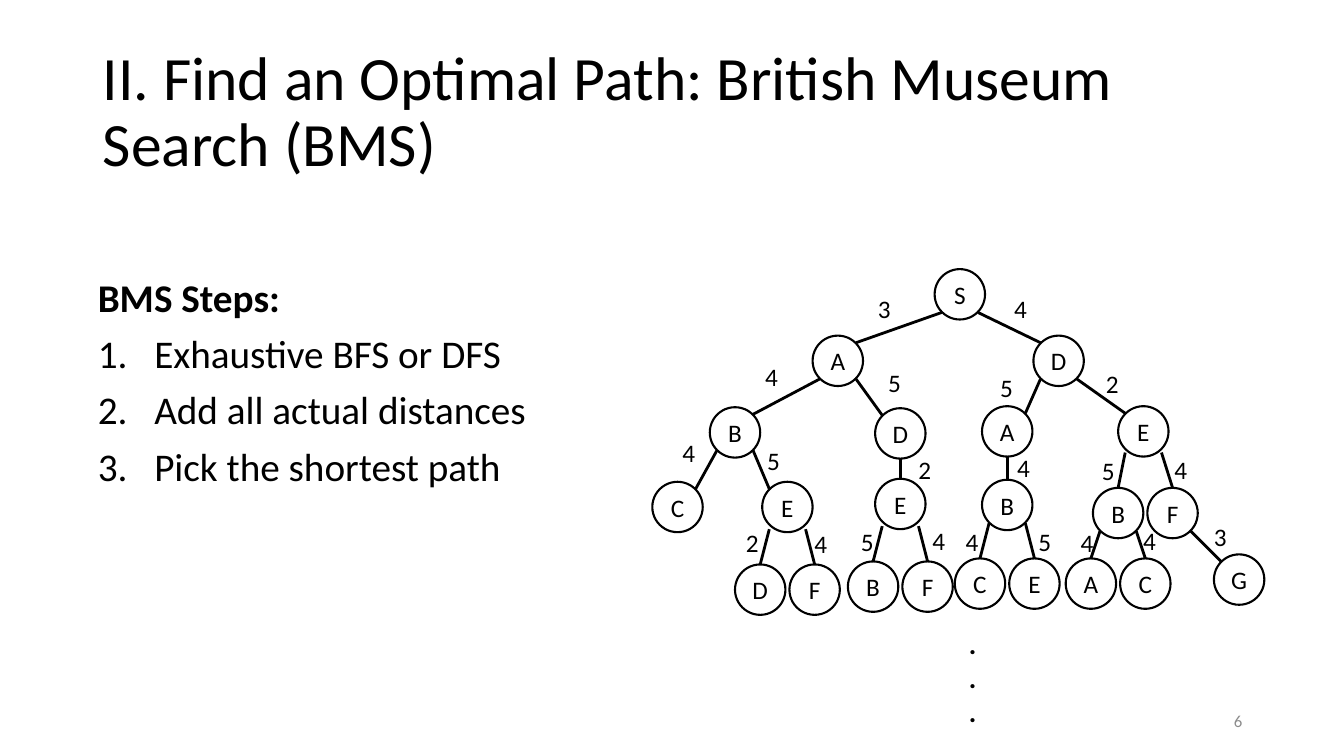
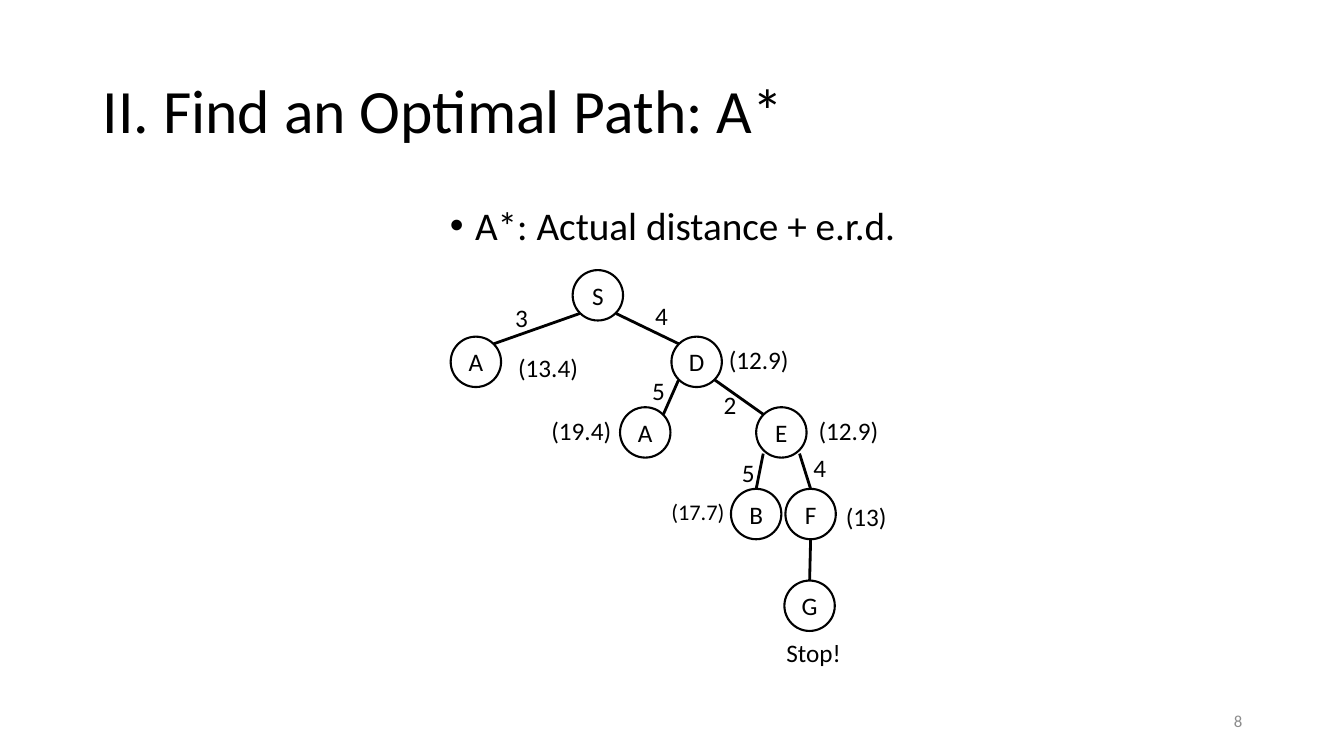
from lxml import etree
from pptx import Presentation
from pptx.dml.color import RGBColor
from pptx.enum.shapes import MSO_CONNECTOR, MSO_SHAPE
from pptx.enum.text import MSO_ANCHOR, MSO_AUTO_SIZE, PP_ALIGN
from pptx.oxml.ns import qn
from pptx.util import Inches, Pt

CIRCLE = MSO_SHAPE.FLOWCHART_CONNECTOR
STRAIGHT = MSO_CONNECTOR.STRAIGHT
LEFT, CENTER, RIGHT = PP_ALIGN.LEFT, PP_ALIGN.CENTER, PP_ALIGN.RIGHT
TOP, MIDDLE = MSO_ANCHOR.TOP, MSO_ANCHOR.MIDDLE
NO_FIT = MSO_AUTO_SIZE.NONE

COLORS = {"ink": "000000", "muted": "8C8C8C"}
FONT = "Calibri"
TITLE_BOX = (0.92, 0.4, 11.5, 1.45)
NUMBER_BOX = (9.42, 6.95, 3, 0.4)
NODE = 0.5
RADIUS = NODE / 2
CORNER = 0.18      # offset of a circle's diagonal point from its centre
TWIN = 0.27        # offset of each paired leaf from its parent
TWIG = 0.35        # longest drop of an edge to the top of a child

# A node's key is its path from the root; its place is relative to the root.
TRUNK = {
    "S": (0, 0),
    "SA": (-1.21, 0.66), "SD": (0.98, 0.66),
    "SDA": (0.47, 1.36), "SDE": (1.82, 1.36),
    "SDEB": (1.57, 2.17), "SDEF": (2.11, 2.17),
}
FULL_TREE = {
    **TRUNK,
    "SAB": (-2.23, 1.37), "SAD": (-0.59, 1.38),
    "SABC": (-2.8, 2.11), "SABE": (-1.71, 2.11),
    "SADE": (-0.59, 2.08), "SDAB": (0.47, 2.09),
    "SDEFG": (2.77, 2.83),
}
TWINS = [("SABE", "DF", 2.93), ("SADE", "BF", 2.9),
         ("SDAB", "CE", 2.87), ("SDEB", "AC", 2.87)]
for parent_key, letters, twin_top in TWINS:
    for letter, side in zip(letters, (-1, 1)):
        twin_left = FULL_TREE[parent_key][0] + side * TWIN
        FULL_TREE[parent_key + letter] = (twin_left, twin_top)
STAR_TREE = {**TRUNK, "SDEFG": (2.1, 3.08)}

FULL_DISTANCES = [
    ("3", -0.66, 0.19), ("4", 0.69, 0.19),
    ("4", -1.78, 0.87), ("5", -0.56, 0.92),
    ("5", 0.55, 0.97), ("2", 1.6, 0.94),
    ("4", -2.6, 1.62), ("5", -1.76, 1.7), ("2", -0.26, 1.79),
    ("4", 0.72, 1.77), ("5", 1.56, 1.8), ("4", 2.28, 1.79),
    ("2", -1.97, 2.51), ("4", -1.29, 2.52),
    ("5", -0.83, 2.5), ("4", -0.12, 2.49),
    ("4", 0.21, 2.5), ("5", 0.93, 2.5),
    ("4", 1.35, 2.51), ("4", 1.97, 2.49), ("3", 2.67, 2.45),
]
STAR_DISTANCES = [
    ("3", -0.67, 0.27), ("4", 0.72, 0.25),
    ("5", 0.69, 0.99), ("2", 1.4, 1.13),
    ("5", 1.58, 1.81), ("4", 2.29, 1.76),
]
# text, left, top, width, size
STAR_COSTS = [
    ("(13.4)", -0.64, 0.77, 0.8, 18), ("(12.9)", 1.45, 0.69, 0.8, 18),
    ("(19.4)", -0.31, 1.39, 0.8, 18), ("(12.9)", 2.34, 1.39, 0.8, 18),
    ("(17.7)", 0.88, 2.21, 0.74, 16), ("(13)", 2.61, 2.24, 0.61, 18),
    ("Stop!", 2.02, 3.59, 0.75, 18),
]


def write(para, text, size=18, bold=False, color="ink", align=LEFT,
          line=None, before=None):
    """Put one formatted span of text into a paragraph."""
    span = para.add_run()
    span.text = text
    span.font.name = FONT
    span.font.size = Pt(size)
    span.font.bold = bold
    span.font.color.rgb = RGBColor.from_string(COLORS[color])
    para.alignment = align
    if line is not None:
        para.line_spacing = line
    if before is not None:
        para.space_before = Pt(before)


def add_label(page, box, lines, anchor=TOP, wrap=False, **style):
    """Add a text box that holds the given lines."""
    frame = page.shapes.add_textbox(*map(Inches, box)).text_frame
    frame.word_wrap = wrap
    frame.vertical_anchor = anchor
    for index, text in enumerate(lines):
        para = frame.add_paragraph() if index else frame.paragraphs[0]
        write(para, text, **style)


def set_bullet(para, kind, indent=0, **attributes):
    """Give a paragraph its bullet kind and hanging indent."""
    props = para._p.get_or_add_pPr()
    props.set("marL", str(Inches(indent)))
    props.set("indent", str(-Inches(indent)))
    etree.SubElement(props, qn("a:" + kind), attributes)


def place(placeholder, box, anchor):
    """Move a placeholder to its box and return its text frame."""
    (placeholder.left, placeholder.top,
     placeholder.width, placeholder.height) = map(Inches, box)
    frame = placeholder.text_frame
    frame.auto_size = NO_FIT
    frame.word_wrap = True
    frame.vertical_anchor = anchor
    return frame


def add_page(deck, title, number):
    """Add a page with the shared title style and page number."""
    page = deck.slides.add_slide(deck.slide_layouts[1])
    frame = place(page.shapes.title, TITLE_BOX, MIDDLE)
    write(frame.paragraphs[0], title, size=44, line=0.9)
    add_label(page, NUMBER_BOX, [number], anchor=MIDDLE, wrap=True,
              size=12, color="muted", align=RIGHT)
    return page


def fill_steps(page, box, heading, steps):
    """Write a bold heading and a numbered list in the body."""
    frame = place(page.placeholders[1], box, TOP)
    head = frame.paragraphs[0]
    write(head, heading, size=28, bold=True, line=0.9, before=10)
    set_bullet(head, "buNone")
    for step in steps:
        para = frame.add_paragraph()
        write(para, step, size=28, line=0.9, before=10)
        set_bullet(para, "buAutoNum", 0.56, type="arabicPeriod")


def fill_point(page, box, text):
    """Write one centred bullet point in the body."""
    para = place(page.placeholders[1], box, TOP).paragraphs[0]
    write(para, text, size=28, align=CENTER, line=0.9, before=10)
    set_bullet(para, "buChar", 0.25, char="•")


def add_edge(page, parent, child):
    """Join two nodes, given by their centres, at their rims."""
    (start_x, start_y), (end_x, end_y) = parent, child
    across = end_x - start_x
    side = CORNER if across > 0 else -CORNER
    if abs(across) < 0.05:
        start_y += RADIUS
        end_y -= RADIUS
    elif abs(across) < 0.3:
        end_y -= RADIUS
        start_x += side
        start_y = max(start_y + CORNER, end_y - TWIG)
    else:
        start_x, start_y = start_x + side, start_y + CORNER
        end_x, end_y = end_x - side, end_y - CORNER
    edge = page.shapes.add_connector(
        STRAIGHT, *map(Inches, (start_x, start_y, end_x, end_y)))
    edge.line.color.rgb = RGBColor.from_string(COLORS["ink"])
    edge.line.width = Pt(2)
    etree.SubElement(edge._element.spPr, qn("a:effectLst"))


def add_node(page, center, letter):
    """Draw one lettered circle around its centre."""
    left, top = (value - RADIUS for value in center)
    node = page.shapes.add_shape(
        CIRCLE, *map(Inches, (left, top, NODE, NODE)))
    node.shadow.inherit = False
    node.fill.background()
    node.line.color.rgb = RGBColor.from_string(COLORS["ink"])
    node.line.width = Pt(1.5)
    frame = node.text_frame
    frame.margin_left = frame.margin_right = 0
    frame.margin_top = frame.margin_bottom = 0
    frame.vertical_anchor = MIDDLE
    write(frame.paragraphs[0], letter, align=CENTER)


def add_tree(page, root, nodes, distances, costs=()):
    """Draw a search tree whose root circle has its box corner at root."""
    left, top = root
    centers = {key: (left + x + RADIUS, top + y + RADIUS)
               for key, (x, y) in nodes.items()}
    for key, center in centers.items():
        add_node(page, center, key[-1])
        if key[:-1]:
            add_edge(page, centers[key[:-1]], center)
    labels = [(text, x, y, 0.33, 18) for text, x, y in distances]
    for text, x, y, width, size in [*labels, *costs]:
        add_label(page, (left + x, top + y, width, 0.4), [text], size=size)


def build_museum_page(deck):
    """Build the page on British Museum Search."""
    page = add_page(
        deck, "II. Find an Optimal Path: British Museum Search (BMS)", "6")
    fill_steps(page, (0.87, 2.71, 4.83, 4.76), "BMS Steps:",
               ["Exhaustive BFS or DFS", "Add all actual distances",
                "Pick the shortest path"])
    add_tree(page, (9.27, 2.67), FULL_TREE, FULL_DISTANCES)
    add_label(page, (9.51, 6.17, 0.28, 1.11), ["."] * 3, size=20, bold=True)


def build_star_page(deck):
    """Build the page on A*."""
    page = add_page(deck, "II. Find an Optimal Path: A*", "8")
    fill_point(page, (0.92, 2, 11.5, 4.76), "A*: Actual distance + e.r.d.")
    add_tree(page, (5.68, 2.68), STAR_TREE, STAR_DISTANCES, STAR_COSTS)


def main():
    """Build and save the deck."""
    deck = Presentation()
    deck.slide_width, deck.slide_height = Inches(13.33), Inches(7.5)
    build_museum_page(deck)
    build_star_page(deck)
    deck.save("out.pptx")


main()
